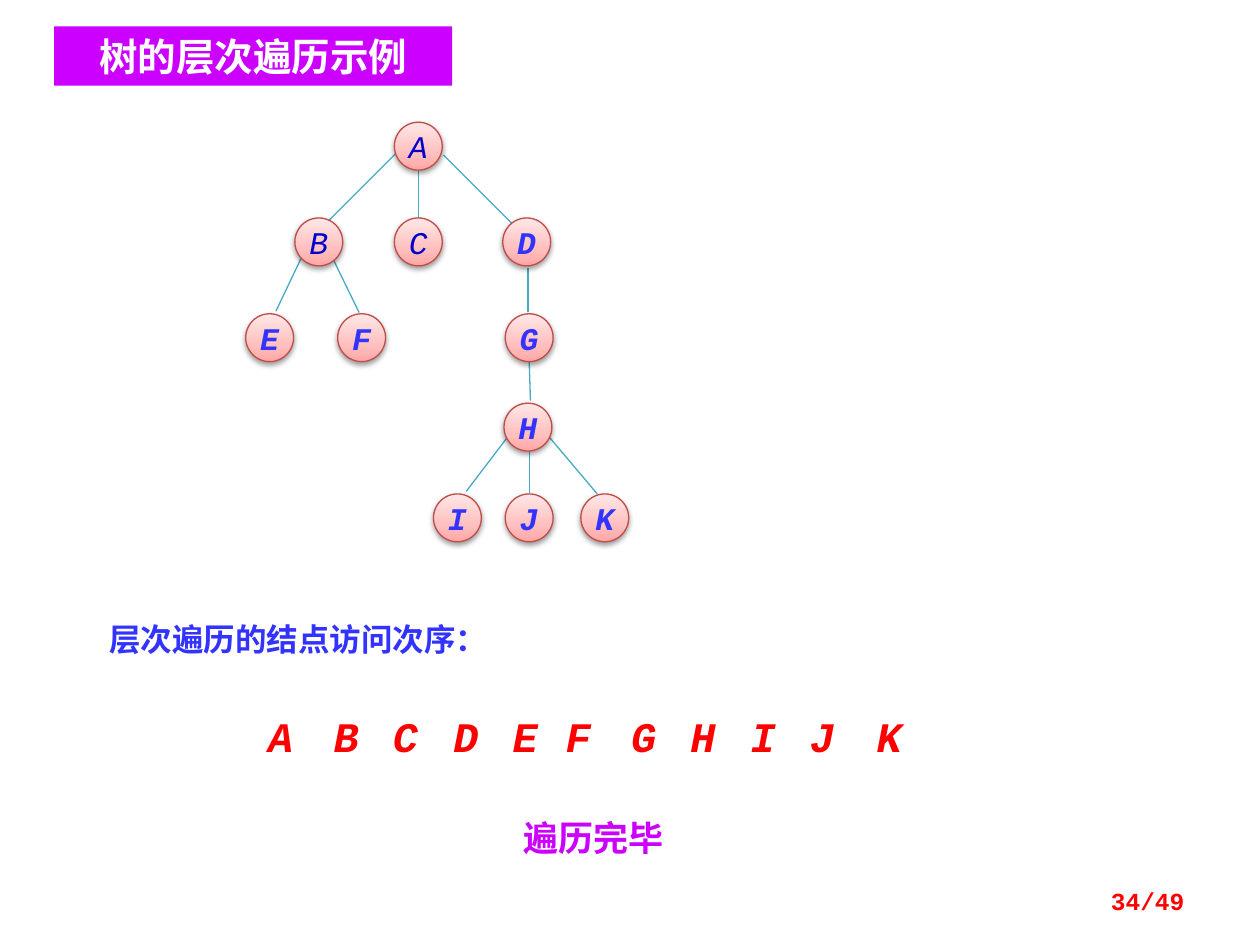
from copy import deepcopy

from pptx import Presentation
from pptx.dml.color import RGBColor
from pptx.enum.shapes import MSO_CONNECTOR as Connector, MSO_SHAPE as Shape
from pptx.enum.text import MSO_ANCHOR as Anchor, PP_ALIGN as Align
from pptx.oxml import parse_xml
from pptx.oxml.ns import nsdecls, qn
from pptx.util import Inches, Pt

WHITE = RGBColor(0xFF, 0xFF, 0xFF)
MAGENTA = RGBColor(0xCC, 0x00, 0xFF)
RED = RGBColor(0xFF, 0x00, 0x00)
BLUE = RGBColor(0x33, 0x33, 0xFF)
NAVY = RGBColor(0x00, 0x00, 0xCC)
TEAL = RGBColor(0x46, 0xAA, 0xC5)
BRICK = RGBColor(0xBF, 0x4C, 0x48)
PINKS = (
    (0, RGBColor(0xFF, 0xA6, 0xA5)),
    (0.35, RGBColor(0xFF, 0xC0, 0xBF)),
    (1, RGBColor(0xFF, 0xE7, 0xE7)),
)

COLUMNS, ROWS = 100, 75
NODE_SIZE = 3.8
VISITED_EARLY = "ABC"

NODES = {
    "A": (31.3, 9.7),
    "B": (23.4, 17.3), "C": (31.3, 17.3), "D": (39.9, 17.3),
    "E": (19.5, 24.9), "F": (26.8, 24.9), "G": (40.1, 24.9),
    "H": (40, 32),
    "I": (34.4, 39.2), "J": (40.1, 39.2), "K": (46.1, 39.2),
}
EDGES = {
    "AB": (31.4, 12.2, 26.1, 17.5),
    "AC": (33.2, 13.4, 33.2, 17.3),
    "AD": (35.2, 12.3, 40.6, 17.7),
    "BE": (23.9, 20.5, 21.9, 24.7),
    "BF": (26.5, 20.7, 28.5, 24.8),
    "DG": (41.9, 21.3, 41.9, 24.8),
    "GH": (42, 28.7, 42.1, 31.8),
    "HI": (40.2, 34.8, 37, 39),
    "HJ": (42, 35.7, 42, 39.1),
    "HK": (43.6, 34.7, 47.4, 39.2),
}
VISIT_COLUMNS = (20.3, 25.5, 30.2, 35, 39.7, 43.9, 49.1, 53.8, 58.6, 63.3, 68.6)


class TreePage:
    font_name = "Courier New"
    line_width = Pt(0.75)

    def __init__(self, deck):
        self.page = deck.slides.add_slide(deck.slide_layouts[6])
        self.column = deck.slide_width / COLUMNS
        self.row = deck.slide_height / ROWS

    def place(self, left, top, width, height):
        units = (self.column, self.row) * 2
        return [round(n * unit) for n, unit in zip((left, top, width, height), units)]

    def set_text(self, shape, text, size, color, align=Align.LEFT, bold=True,
                 italic=False, wrap=True, font_name=None):
        frame = shape.text_frame
        frame.word_wrap = wrap
        frame.vertical_anchor = Anchor.MIDDLE
        para = frame.paragraphs[0]
        para.text = text
        para.alignment = align
        font = para.font
        font.name = font_name or self.font_name
        font.size = Pt(size)
        font.bold = bold
        font.italic = italic
        font.color.rgb = color

    def label(self, area, text, size, color, **style):
        box = self.page.shapes.add_textbox(*self.place(*area))
        self.set_text(box, text, size, color, **style)

    def banner(self, area, text):
        box = self.page.shapes.add_shape(Shape.RECTANGLE, *self.place(*area))
        box.shadow.inherit = False
        box.fill.solid()
        box.fill.fore_color.rgb = MAGENTA
        box.line.fill.background()
        self.set_text(box, text, 22, WHITE, align=Align.CENTER,
                      font_name="Noto Sans CJK SC")

    def edge(self, ends):
        line = self.page.shapes.add_connector(Connector.STRAIGHT, *self.place(*ends))
        line.line.color.rgb = TEAL
        line.line.width = self.line_width
        line._element.spPr.append(parse_xml(f"<a:effectLst {nsdecls('a')}/>"))

    def node(self, name, left, top):
        circle = self.page.shapes.add_shape(
            Shape.OVAL, *self.place(left, top, NODE_SIZE, NODE_SIZE))
        circle.line.color.rgb = BRICK
        circle.line.width = self.line_width
        self.shade(circle)
        self.drop_shadow(circle)
        early = name in VISITED_EARLY
        self.set_text(circle, name, 18, NAVY if early else BLUE, align=Align.CENTER,
                      bold=not early, italic=True, wrap=False)

    def shade(self, shape):
        shape.fill.gradient()
        shape.fill.gradient_angle = 90
        stops = shape._element.spPr.find(qn("a:gradFill")).find(qn("a:gsLst"))
        stops.append(deepcopy(stops[0]))
        for stop, (position, color) in zip(shape.fill.gradient_stops, PINKS):
            stop.position = position
            stop.color.rgb = color

    def drop_shadow(self, shape):
        shape.shadow.inherit = False
        effects = shape._element.spPr.find(qn("a:effectLst"))
        effects.append(parse_xml(
            f'<a:outerShdw {nsdecls("a")} blurRad="{Pt(3.1)}" dist="{Pt(1.6)}" '
            'dir="5400000" rotWithShape="0"><a:srgbClr val="000000">'
            '<a:alpha val="38000"/></a:srgbClr></a:outerShdw>'))


def main():
    deck = Presentation()
    deck.slide_width, deck.slide_height = Inches(10), Inches(7.5)
    tree = TreePage(deck)

    for ends in EDGES.values():
        tree.edge(ends)
    for name, corner in NODES.items():
        tree.node(name, *corner)

    tree.label((7.7, 48.7, 53.1, 4), "层次遍历的结点访问次序：", 18, BLUE)
    for name, column in zip(NODES, VISIT_COLUMNS):
        tree.label((column, 55.8, 3.9, 5.1), name, 24, RED, italic=True, wrap=False)

    tree.banner((4.3, 2.1, 31.6, 4.7), "树的层次遍历示例")
    tree.label((36.1, 64.3, 22, 4.4), "遍历完毕", 20, MAGENTA, align=Align.CENTER)
    tree.label((71.7, 69.5, 23.3, 4), "34/49", 14, RED, align=Align.RIGHT)
    deck.save("out.pptx")


if __name__ == "__main__":
    main()
